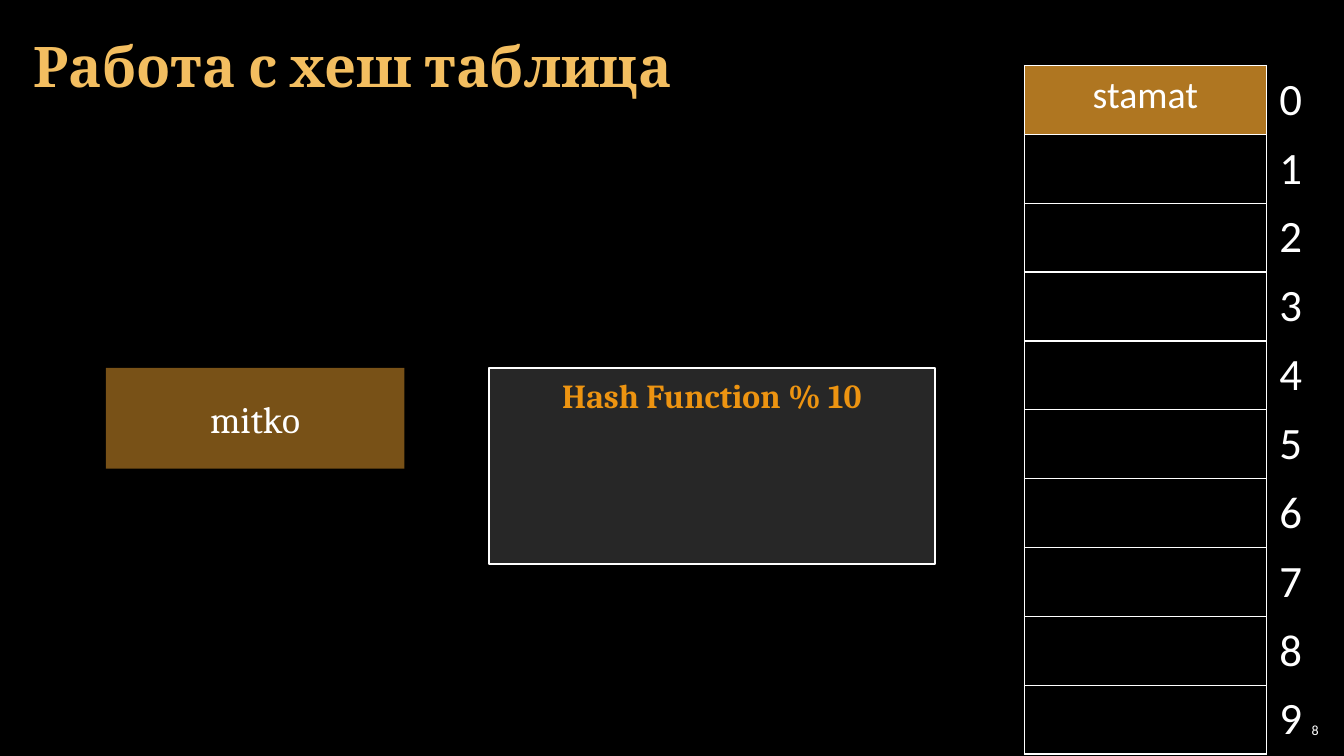
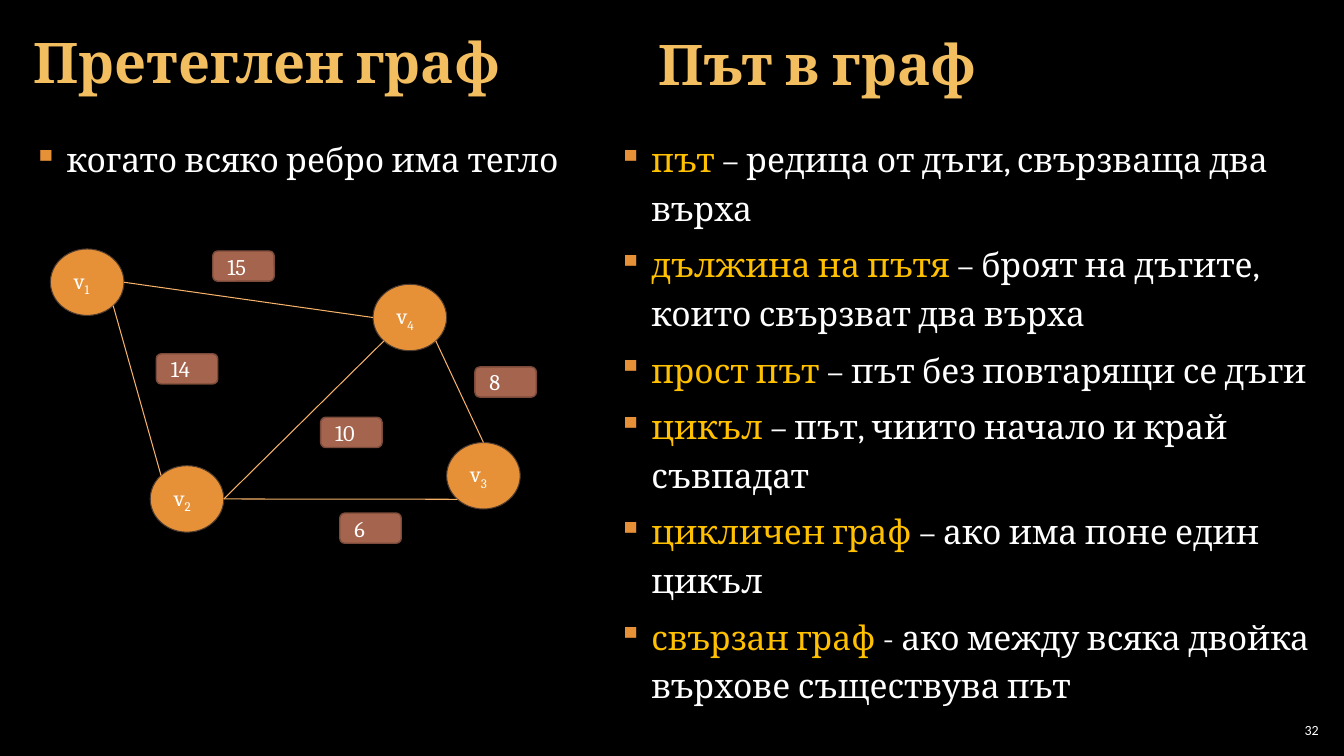
import math

from lxml import etree
from pptx import Presentation
from pptx.dml.color import RGBColor
from pptx.enum import shapes, text
from pptx.oxml import ns
from pptx.util import Inches, Pt

BLACK = RGBColor(0x00, 0x00, 0x00)
WHITE = RGBColor(0xFF, 0xFF, 0xFF)
TITLE_GOLD = RGBColor(0xF3, 0xBE, 0x60)
TERM_YELLOW = RGBColor(0xFF, 0xC0, 0x00)
HEADING_ORANGE = RGBColor(0xED, 0x94, 0x11)
KEY_AMBER = RGBColor(0xF0, 0xA2, 0x2E)
FILLED_CELL = RGBColor(0xAF, 0x76, 0x21)
PANEL_GRAY = RGBColor(0x27, 0x27, 0x27)
NODE_ORANGE = RGBColor(0xE6, 0x91, 0x38)
NODE_LINE = RGBColor(0x4E, 0x3B, 0x30)
EDGE_ORANGE = RGBColor(0xF6, 0xB2, 0x6B)
WEIGHT_BROWN = RGBColor(0xA5, 0x64, 0x4E)
WEIGHT_LINE = RGBColor(0x7A, 0x4A, 0x3A)

SERIF = "Cambria"
SANS = "Calibri"
SHAPE = shapes.MSO_SHAPE
ALIGN = text.PP_ALIGN
ANCHOR = text.MSO_ANCHOR

NODE_WIDTH, NODE_HEIGHT = 0.73, 0.66
NODES = {"1": (0.5, 2.47), "2": (1.49, 4.62), "3": (4.43, 4.39), "4": (3.7, 2.82)}
# Each end is a node and the clockwise angle, from its right, where the edge meets it.
EDGES = [
    (("1", 45), ("2", 225)),
    (("2", 0), ("3", 135)),
    (("3", 270), ("4", 45)),
    (("2", 0), ("4", 135)),
    (("1", 0), ("4", 180)),
]
WEIGHTS = [
    ("14", 1.55, 3.51),
    ("6", 3.37, 5.09),
    ("8", 4.71, 3.64),
    ("10", 3.18, 4.14),
    ("15", 2.11, 2.49),
]
DEFINITIONS = [
    ("път ", "– редица от дъги, свързваща два върха"),
    ("дължина на пътя ", "– броят на дъгите, които свързват два върха"),
    ("прост път ", "– път без повтарящи се дъги"),
    ("цикъл ", "– път, чиито начало и край съвпадат"),
    ("цикличен граф ", "– ако има поне един цикъл"),
    ("свързан граф ", "- ако между всяка двойка върхове съществува път"),
]


def add_xml(parent, tag, **attributes):
    element = etree.SubElement(parent, ns.qn(tag))
    for name, value in attributes.items():
        element.set(name, value)
    return element


def place(shape, left, top, width, height):
    shape.left, shape.top = Inches(left), Inches(top)
    shape.width, shape.height = Inches(width), Inches(height)


def add_run(paragraph, content, size, color=WHITE, font=SERIF, bold=False):
    run = paragraph.add_run()
    run.text = content
    run.font.size = Pt(size)
    run.font.name = font
    run.font.bold = bold
    run.font.color.rgb = color
    return run


def prepare_frame(shape, side, vertical, anchor=ANCHOR.MIDDLE, align=ALIGN.LEFT):
    """Set margins, wrapping and alignment; return the first paragraph."""
    frame = shape.text_frame
    frame.word_wrap = True
    frame.auto_size = text.MSO_AUTO_SIZE.NONE
    frame.margin_left = frame.margin_right = Inches(side)
    frame.margin_top = frame.margin_bottom = Inches(vertical)
    frame.vertical_anchor = anchor
    paragraph = frame.paragraphs[0]
    paragraph.alignment = align
    return paragraph


def add_text_box(slide, *box):
    return slide.shapes.add_textbox(*map(Inches, box))


def style_title(shape, content, line_spacing):
    paragraph = prepare_frame(shape, 0.12, 0.04)
    paragraph.line_spacing = line_spacing
    add_run(paragraph, content, 40, TITLE_GOLD, bold=True)


def add_slide(presentation, title, width, number, line_spacing=1.0):
    slide = presentation.slides.add_slide(presentation.slide_layouts[5])
    place(slide.shapes.title, 0.21, 0.04, width, 1.21)
    style_title(slide.shapes.title, title, line_spacing)
    number_box = add_text_box(slide, 12.65, 7.14, 0.47, 0.21)
    paragraph = prepare_frame(number_box, 0.04, 0.04, align=ALIGN.RIGHT)
    add_run(paragraph, number, 10, font=SANS)
    return slide


def add_filled_shape(slide, kind, box, fill, line=None, line_width=1):
    shape = slide.shapes.add_shape(kind, *map(Inches, box))
    shape.shadow.inherit = False
    shape.fill.solid()
    shape.fill.fore_color.rgb = fill
    if line is None:
        shape.line.fill.background()
    else:
        shape.line.color.rgb = line
        shape.line.width = Pt(line_width)
    return shape


def set_borders(cell, visible):
    """Draw the sides named in visible (of L, R, T, B) and blank the others."""
    properties = cell._tc.get_or_add_tcPr()
    for side in "LRTB":
        border = add_xml(properties, f"a:ln{side}", w=str(Pt(1)))
        if side in visible:
            solid = add_xml(border, "a:solidFill")
            add_xml(solid, "a:srgbClr", val=str(WHITE))
        else:
            add_xml(border, "a:noFill")


def add_hash_table(slide, entries):
    row_height = 0.67
    frame = slide.shapes.add_table(
        len(entries), 2, Inches(10.16), Inches(0.65),
        Inches(2.96), Inches(row_height * len(entries)))
    table = frame.table
    table.first_row = table.horz_banding = False
    table.columns[0].width, table.columns[1].width = Inches(2.4), Inches(0.56)
    for index, entry in enumerate(entries):
        table.rows[index].height = Inches(row_height)
        columns = [(entry, 27, ALIGN.CENTER, "LRTB"), (str(index), 32, ALIGN.LEFT, "L")]
        for column, (content, size, align, borders) in enumerate(columns):
            cell = table.cell(index, column)
            cell.margin_left = cell.margin_right = Inches(0.13)
            cell.margin_top = cell.margin_bottom = Inches(0.07)
            set_borders(cell, borders)
            if column == 0 and entry:
                cell.fill.solid()
                cell.fill.fore_color.rgb = FILLED_CELL
            else:
                cell.fill.background()
            if content:
                paragraph = cell.text_frame.paragraphs[0]
                paragraph.alignment = align
                add_run(paragraph, content, size, font=SANS)


def add_bullet_list(slide, box, items):
    """Each item is a list of (text, colour) runs."""
    shape = add_text_box(slide, *box)
    paragraph = prepare_frame(shape, 0.12, 0.04, ANCHOR.TOP)
    for index, runs in enumerate(items):
        if index:
            paragraph = shape.text_frame.add_paragraph()
        properties = paragraph._p.get_or_add_pPr()
        properties.set("marL", str(Inches(0.33)))
        properties.set("indent", str(-Inches(0.33)))
        bullet_color = add_xml(properties, "a:buClr")
        add_xml(bullet_color, "a:srgbClr", val=str(NODE_ORANGE))
        add_xml(properties, "a:buChar", char="▪")
        paragraph.line_spacing = 1.2
        paragraph.space_after = Pt(6)
        for content, color in runs:
            add_run(paragraph, content, 24, color)


def add_node(slide, name):
    box = (*NODES[name], NODE_WIDTH, NODE_HEIGHT)
    node = add_filled_shape(slide, SHAPE.OVAL, box, NODE_ORANGE, NODE_LINE, 0.75)
    paragraph = prepare_frame(node, 0.13, 0.13)
    add_run(paragraph, "v", 16)
    subscript = add_run(paragraph, name, 16)
    subscript.font._element.set("baseline", "-25000")


def rim_point(name, angle):
    left, top = NODES[name]
    radians = math.radians(angle)
    return (Inches(left + NODE_WIDTH / 2 * (1 + math.cos(radians))),
            Inches(top + NODE_HEIGHT / 2 * (1 + math.sin(radians))))


def add_edge(slide, start, end):
    edge = slide.shapes.add_connector(
        shapes.MSO_CONNECTOR.STRAIGHT, *rim_point(*start), *rim_point(*end))
    edge.line.color.rgb = EDGE_ORANGE
    edge.line.width = Pt(0.75)
    add_xml(edge._element.spPr, "a:effectLst")


def add_weight(slide, weight, left, top):
    label = add_filled_shape(slide, SHAPE.ROUNDED_RECTANGLE, (left, top, 0.61, 0.3),
                             WEIGHT_BROWN, WEIGHT_LINE)
    add_run(prepare_frame(label, 0.13, 0), weight, 16)


def build_hash_slide(presentation):
    slide = add_slide(presentation, "Работа с хеш таблица", 12.91, "8")
    add_hash_table(slide, ["stamat"] + [""] * 9)

    key = add_filled_shape(slide, SHAPE.FLOWCHART_PROCESS, (1.05, 3.65, 2.96, 1), KEY_AMBER)
    fill_color = key._element.spPr.find(f".//{ns.qn('a:srgbClr')}")
    add_xml(fill_color, "a:alpha", val="50000")
    add_run(prepare_frame(key, 0.13, 0.07, align=ALIGN.CENTER), "mitko", 26.7)

    function = add_filled_shape(slide, SHAPE.RECTANGLE, (4.85, 3.65, 4.42, 1.95),
                                PANEL_GRAY, WHITE, 1.5)
    paragraph = prepare_frame(function, 0.13, 0.07, ANCHOR.TOP, ALIGN.CENTER)
    add_run(paragraph, "Hash Function % 10", 24, HEADING_ORANGE, bold=True)


def build_graph_slide(presentation):
    slide = add_slide(presentation, "Претеглен граф", 6.29, "32", 0.9)
    style_title(add_text_box(slide, 6.41, 0.06, 6.24, 1.21), "Път в граф", 0.9)
    add_bullet_list(slide, (0.21, 1.26, 6.45, 6.09),
                    [[("когато всяко ребро има тегло", WHITE)]])
    add_bullet_list(slide, (6.01, 1.26, 7.11, 6.09),
                    [[(term, TERM_YELLOW), (meaning, WHITE)] for term, meaning in DEFINITIONS])
    for name in NODES:
        add_node(slide, name)
    for start, end in EDGES:
        add_edge(slide, start, end)
    for weight, left, top in WEIGHTS:
        add_weight(slide, weight, left, top)


def main():
    presentation = Presentation()
    presentation.slide_width, presentation.slide_height = Inches(13.33), Inches(7.5)
    background = presentation.slide_master.background.fill
    background.solid()
    background.fore_color.rgb = BLACK
    build_hash_slide(presentation)
    build_graph_slide(presentation)
    presentation.save("out.pptx")


if __name__ == "__main__":
    main()
